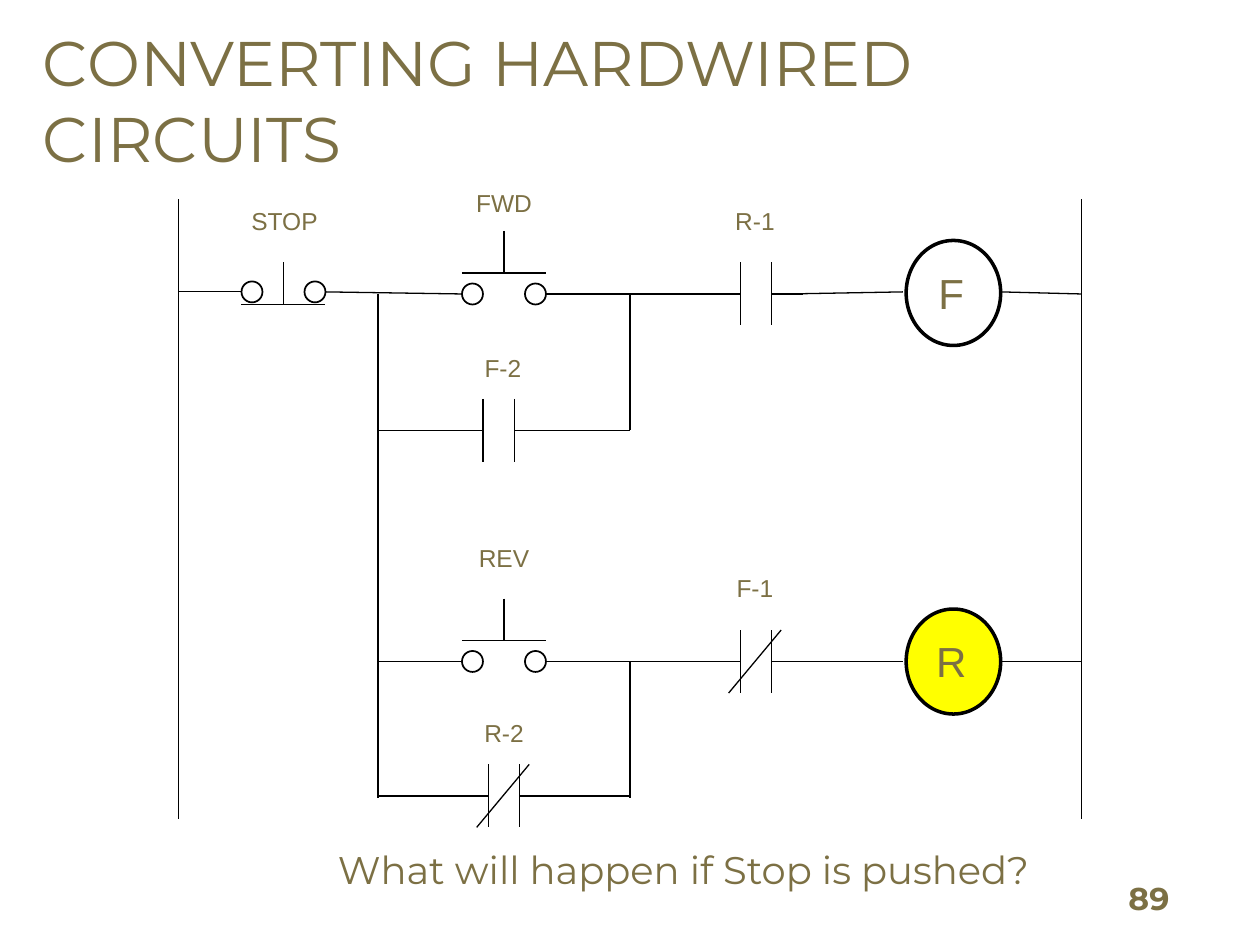
"""Build a slide with a forward/reverse motor control ladder circuit."""
from lxml import etree
from pptx import Presentation
from pptx.dml.color import RGBColor
from pptx.enum.shapes import MSO_CONNECTOR, MSO_SHAPE
from pptx.enum.text import MSO_ANCHOR, MSO_AUTO_SIZE, PP_ALIGN
from pptx.oxml.ns import qn
from pptx.util import Inches, Pt

STRAIGHT = MSO_CONNECTOR.STRAIGHT
OVAL = MSO_SHAPE.OVAL
TOP, BOTTOM = MSO_ANCHOR.TOP, MSO_ANCHOR.BOTTOM
LEFT, CENTER = PP_ALIGN.LEFT, PP_ALIGN.CENTER
NO_FIT, GROW = MSO_AUTO_SIZE.NONE, MSO_AUTO_SIZE.SHAPE_TO_FIT_TEXT

COLORS = {"ink": "000000", "text": "7C7044", "energized": "FFFF00"}
COLUMNS, ROWS = 120, 90

presentation = Presentation()
presentation.slide_width = Inches(10)
presentation.slide_height = Inches(7.5)
column = presentation.slide_width / COLUMNS
row = presentation.slide_height / ROWS
slide = presentation.slides.add_slide(presentation.slide_layouts[5])
shapes = slide.shapes


def draw_line(x1, y1, x2, y2, width=0.75):
    """Draw a black line between two grid points."""
    connector = shapes.add_connector(
        STRAIGHT, round(x1 * column), round(y1 * row), round(x2 * column), round(y2 * row))
    connector.line.color.rgb = RGBColor.from_string(COLORS["ink"])
    connector.line.width = Pt(width)
    etree.SubElement(connector._element.spPr, qn("a:effectLst"))


def draw_circle(left, top, width, height, line_width, fill=None):
    """Draw an outlined ellipse in grid units."""
    circle = shapes.add_shape(
        OVAL, round(left * column), round(top * row), round(width * column), round(height * row))
    circle.shadow.inherit = False
    if fill:
        circle.fill.solid()
        circle.fill.fore_color.rgb = RGBColor.from_string(COLORS[fill])
    else:
        circle.fill.background()
    circle.line.color.rgb = RGBColor.from_string(COLORS["ink"])
    circle.line.width = Pt(line_width)


coils = [(27.9, None), (63, "energized")]
for center_y, fill in coils:
    draw_circle(86.3, center_y - 5, 9, 10, 2, fill)

push_buttons = [(27, 27.8, 1.2, 0.75), (48, 28, -2, 1), (48, 63, -2, 1)]
for center_x, center_y, bar_offset, width in push_buttons:
    bar_y = center_y + bar_offset
    for left in (center_x - 4, center_x + 2):
        draw_circle(left, center_y - 1, 2, 2, 1)
    draw_line(center_x - 4, bar_y, center_x + 4, bar_y, width)
    draw_line(center_x, bar_y - 4, center_x, bar_y, width)

contacts = [(72, 28, False), (47.5, 41, False), (72, 63, True), (48, 75.8, True)]
for center_x, center_y, normally_closed in contacts:
    for side in (-1, 1):
        plate_x = center_x + 1.5 * side
        draw_line(plate_x, center_y - 3, plate_x, center_y + 3)
        draw_line(plate_x, center_y, plate_x + 3 * side, center_y)
    if normally_closed:
        draw_line(center_x - 2.6, center_y + 3, center_x + 2.4, center_y - 3)

wires = [
    (17, 19, 17, 78), (103, 19, 103, 78),
    (36, 28, 36, 76), (60, 28, 60, 41), (60, 63, 60, 76),
    (17, 27.75, 23, 27.75), (31, 27.8, 44, 28), (52, 28, 69, 28),
    (75, 28, 86, 27.8), (95.3, 27.8, 103, 28),
    (36, 41, 44, 41), (51, 41, 60, 41),
    (36, 63, 44, 63), (52, 63, 69, 63), (76, 63, 86, 63), (95.3, 63, 103, 63),
    (36, 75.8, 44, 75.8), (52, 75.8, 60, 75.8),
]
for wire in wires:
    draw_line(*wire)

label = {"size": 14, "name": "Arial", "bold": False, "align": CENTER,
         "anchor": TOP, "fit": GROW, "inset": (0.1, 0.05)}
coil_label = {**label, "size": 24}
caption = {**label, "size": 22, "name": "Montserrat", "align": LEFT}
heading = {**caption, "size": 36, "inset": (0.09, 0.04)}
page_number = {**heading, "size": 18, "bold": True, "anchor": BOTTOM, "fit": NO_FIT}

texts = [("CONVERTING HARDWIRED CIRCUITS", 3, 1.8, 110.4, 15.5, heading)]
for text, center_x, top in [
        ("STOP", 27.1, 19), ("FWD", 48, 17.3), ("REV", 48, 51.1), ("R-1", 71.9, 19),
        ("F-1", 71.9, 54), ("F-2", 47.9, 33), ("R-2", 48, 67.8)]:
    texts.append((text, center_x - 4.5, top, 9, 4, label))
for text, top in [("F", 24.9), ("R", 59.9)]:
    texts.append((text, 87.1, top, 7, 6.1, coil_label))
texts += [
    ("What will happen if Stop is pushed?", 31, 80, 75.4, 5.6, caption),
    ("89", 106.4, 84.1, 12.7, 3.7, page_number),
]

for text, left, top, width, height, style in texts:
    box = shapes.title if style is heading else shapes.add_textbox(0, 0, 0, 0)
    bounds = {"left": left * column, "top": top * row,
              "width": width * column, "height": height * row}
    for name, value in bounds.items():
        setattr(box, name, round(value))
    frame = box.text_frame
    side_inset, end_inset = (Inches(inset) for inset in style["inset"])
    frame_format = {
        "word_wrap": True, "auto_size": style["fit"], "vertical_anchor": style["anchor"],
        "margin_left": side_inset, "margin_right": side_inset,
        "margin_top": end_inset, "margin_bottom": end_inset}
    for name, value in frame_format.items():
        setattr(frame, name, value)
    paragraph = frame.paragraphs[0]
    paragraph.alignment = style["align"]
    run = paragraph.add_run()
    run.text = text
    font_format = {"size": Pt(style["size"]), "name": style["name"], "bold": style["bold"]}
    for name, value in font_format.items():
        setattr(run.font, name, value)
    run.font.color.rgb = RGBColor.from_string(COLORS["text"])

presentation.save("out.pptx")
